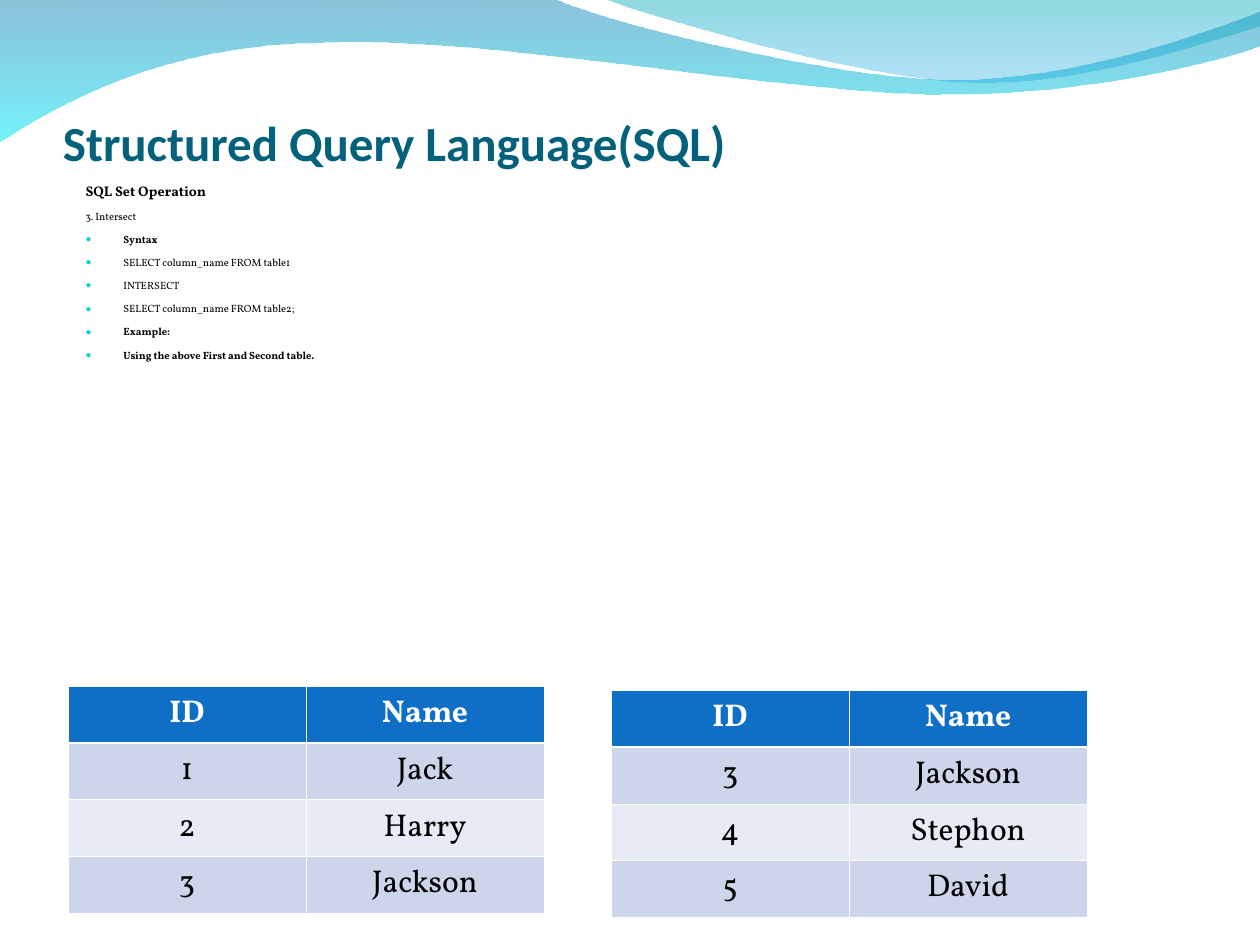
from lxml import etree
from pptx import Presentation
from pptx.dml.color import RGBColor
from pptx.enum.text import MSO_ANCHOR, PP_ALIGN
from pptx.oxml.ns import qn
from pptx.util import Pt

BOTTOM = MSO_ANCHOR.BOTTOM
CENTER = PP_ALIGN.CENTER
BLACK, WHITE, TEAL = "000000", "FFFFFF", "04617B"
HEAD, DARK, LIGHT, DOT = "0F6FC6", "CCD5EA", "E7EBF5", "0BD0D9"
FINE = 100


def color(code):
    return RGBColor.from_string(code)


def node(base, tag, **attrs):
    item = etree.SubElement(base, qn(tag))
    for key, value in attrs.items():
        item.set(key, str(value))
    return item


class Deck:
    serif = "Vollkorn"
    sans = "Calibri"

    def __init__(self, width, height):
        self.prs = Presentation()
        self.prs.slide_width, self.prs.slide_height = Pt(width), Pt(height)
        self.slide = self.prs.slides.add_slide(self.prs.slide_layouts[6])

    def font(self, para, name, size, code, bold):
        font = para.font
        font.name, font.size, font.bold = name, Pt(size), bold
        font.color.rgb = color(code)

    def frame(self, left, top, width, height):
        box = self.slide.shapes.add_textbox(Pt(left), Pt(top), Pt(width), Pt(height))
        box.text_frame.word_wrap = True
        return box.text_frame

    def wave(self, legs, stops):
        points = [
            (round(x * FINE), round(y * FINE))
            for leg in legs
            for x, y in zip(leg[::2], leg[1::2])
        ]
        build = self.slide.shapes.build_freeform(*points[0], scale=Pt(1) / FINE)
        build.add_line_segments(points[1:], close=True)
        shape = build.convert_to_shape()
        self.bend(shape, legs)
        shape.shadow.inherit = False
        shape.line.fill.background()
        shape.fill.gradient()
        grad = shape.fill._xPr.find(qn("a:gradFill"))
        for child in list(grad):
            grad.remove(child)
        items = node(grad, "a:gsLst")
        for pos, code, alpha in stops:
            stop = node(items, "a:gs", pos=pos * 1000)
            paint = node(stop, "a:srgbClr", val=code)
            node(paint, "a:alpha", val=alpha * 1000)
        node(grad, "a:lin", ang=5400000, scaled=0)

    def bend(self, shape, legs):
        lines = iter(list(shape._element.iter(qn("a:lnTo"))))
        for leg in legs[1:]:
            first = next(lines)
            if len(leg) == 6:
                first.tag = qn("a:cubicBezTo")
                for line in (next(lines), next(lines)):
                    first.append(line[0])
                    line.getparent().remove(line)

    def title(self, text, left, top, width, height):
        frame = self.frame(left, top, width, height)
        frame.margin_left = frame.margin_right = frame.margin_bottom = 0
        frame.vertical_anchor = BOTTOM
        para = frame.paragraphs[0]
        para.text = text
        self.font(para, self.sans, 28, TEAL, True)

    def body(self, lines, left, top, width, height):
        frame = self.frame(left, top, width, height)
        for i, (text, size, bold, dot) in enumerate(lines):
            para = frame.add_paragraph() if i else frame.paragraphs[0]
            para.text = text
            if i:
                para.space_before = Pt(6)
            props = para._p.get_or_add_pPr()
            props.set("marL", str(Pt(21.6)))
            props.set("indent", str(-Pt(21.6)))
            if dot:
                paint = node(props, "a:buClr")
                node(paint, "a:srgbClr", val=DOT)
                node(props, "a:buSzPct", val=95000)
                node(props, "a:buFont", typeface="Arial")
                node(props, "a:buChar", char="●")
            else:
                node(props, "a:buNone")
            self.font(para, self.serif, size, BLACK, bold)

    def edges(self, cell, row):
        props = cell._tc.get_or_add_tcPr()
        thick = {0: "a:lnB", 1: "a:lnT"}.get(row)
        for i, tag in enumerate(("a:lnL", "a:lnR", "a:lnT", "a:lnB")):
            line = etree.Element(qn(tag), w=str(Pt(1.47 if tag == thick else 0.45)))
            fill = node(line, "a:solidFill")
            node(fill, "a:srgbClr", val=WHITE)
            props.insert(i, line)

    def table(self, rows, left, top, width, step):
        table = self.slide.shapes.add_table(
            len(rows), len(rows[0]), Pt(left), Pt(top), Pt(width), Pt(step * len(rows))
        ).table
        for r, row in enumerate(rows):
            for c, text in enumerate(row):
                cell = table.cell(r, c)
                cell.fill.solid()
                shade = DARK if r % 2 else LIGHT
                cell.fill.fore_color.rgb = color(shade if r else HEAD)
                self.edges(cell, r)
                para = cell.text_frame.paragraphs[0]
                para.text = text
                para.alignment = CENTER
                self.font(para, self.serif, 18, BLACK if r else WHITE, r == 0)


def main():
    deck = Deck(720, 540)
    deck.wave(
        [
            (0, -0.7), (316.8, -0.7),
            (342.7, 12.2, 478.1, 45.4, 545.8, 45.4),
            (614.2, 45.4, 689.8, 18.7, 720, 6.5),
            (720.7, 25.9),
            (707.8, 31.7, 626.4, 54.7, 537.1, 54),
            (447.8, 54, 275, 20.2, 185, 24.5),
            (92.9, 25.2, 33.1, 59.8, -0.7, 81.4),
        ],
        [(0, "0079AF", 45), (100, "00EBF8", 55)],
    )
    deck.wave(
        [
            (344.9, -0.7),
            (366.5, 7.9, 491, 44.6, 553.7, 46.8),
            (616.3, 49.7, 691.9, 23, 720, 15.1),
            (720, 0),
        ],
        [(0, "00ADB6", 45), (100, "009BE5", 30)],
    )
    deck.title("Structured Query Language(SQL)", 36, 34, 648, 64)
    deck.body(
        [
            ("SQL Set Operation", 8, True, False),
            ("3. Intersect", 6, False, False),
            ("Syntax", 6, True, True),
            ("SELECT column_name FROM table1", 6, False, True),
            ("INTERSECT", 6, False, True),
            ("SELECT column_name FROM table2;", 6, False, True),
            ("Example:", 6, True, True),
            ("Using the above First and Second table.", 6, True, True),
        ],
        41.8, 100.8, 648, 401.8,
    )
    names = ("ID", "Name")
    first = [names, ("1", "Jack"), ("2", "Harry"), ("3", "Jackson")]
    second = [names, ("3", "Jackson"), ("4", "Stephon"), ("5", "David")]
    deck.table(first, 38.9, 392.2, 272, 32.4)
    deck.table(second, 349.2, 394.6, 272, 32.4)
    deck.prs.save("out.pptx")


if __name__ == "__main__":
    main()
